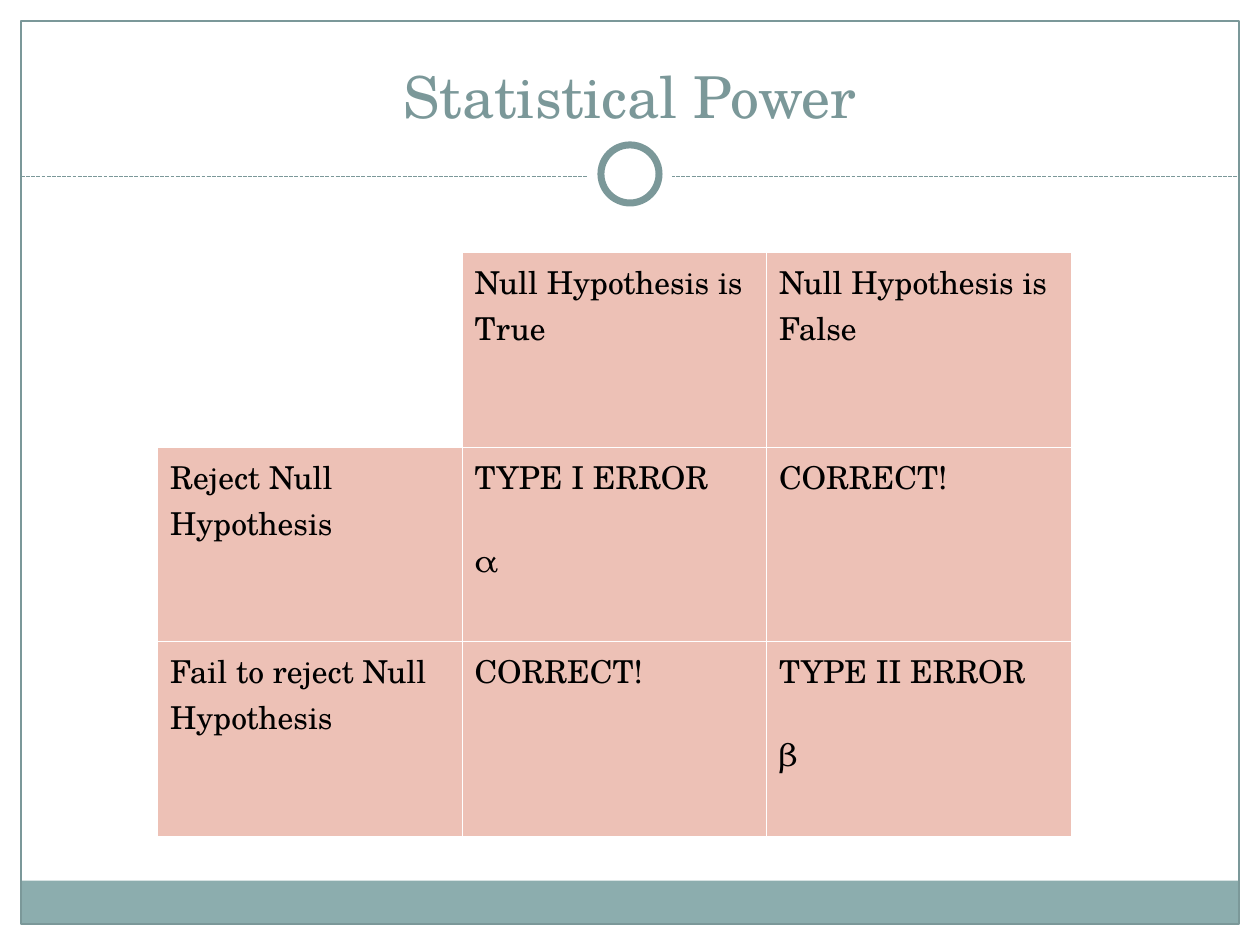
from typing import NamedTuple, Optional

from lxml import etree
from pptx import Presentation
from pptx.dml.color import RGBColor
from pptx.enum.dml import MSO_LINE
from pptx.enum.shapes import MSO_CONNECTOR, MSO_SHAPE
from pptx.enum.text import MSO_ANCHOR, MSO_AUTO_SIZE, PP_ALIGN
from pptx.oxml.ns import qn
from pptx.util import Pt

RECTANGLE, OVAL = MSO_SHAPE.RECTANGLE, MSO_SHAPE.OVAL
STRAIGHT, DASH = MSO_CONNECTOR.STRAIGHT, MSO_LINE.SQUARE_DOT
BOTTOM, CENTER, NO_AUTOFIT = MSO_ANCHOR.BOTTOM, PP_ALIGN.CENTER, MSO_AUTO_SIZE.NONE

FONT = "TeX Gyre Schola"
WHITE, BLACK, TEAL, PALE_TEAL, PINK = "FFFFFF", "000000", "7B9899", "8CADAE", "EDC1B6"

SLIDE_WIDTH, SLIDE_HEIGHT, MARGIN = 720, 540, 12
FRAME_WIDTH = SLIDE_WIDTH - 2 * MARGIN
RULE_Y = 100.8
RING_CENTER_Y = 99.4
COLUMN_WIDTH = 174
ROW_HEIGHTS = (111.6, 110.9, 111.6)
BORDER_WIDTH = 0.45
SYMBOL_GAP = 21

OUTCOMES = (
    ("", "Null Hypothesis is True", "Null Hypothesis is False"),
    ("Reject Null Hypothesis", "TYPE I ERROR\nα", "CORRECT!"),
    ("Fail to reject Null Hypothesis", "CORRECT!", "TYPE II ERROR\nβ"),
)


class Decoration(NamedTuple):
    kind: MSO_SHAPE
    left: float
    top: float
    width: float
    height: float
    fill: Optional[str] = None
    line_width: float = 0


def ring_part(diameter: float, line_width: float = 0) -> Decoration:
    """A white disc centred on the slide at the height of the ring."""
    return Decoration(OVAL, (SLIDE_WIDTH - diameter) / 2, RING_CENTER_Y - diameter / 2,
                      diameter, diameter, WHITE, line_width)


FRAME_PARTS = (
    Decoration(RECTANGLE, MARGIN, 503.2, FRAME_WIDTH, 24.5, PALE_TEAL),
    Decoration(RECTANGLE, MARGIN, MARGIN, FRAME_WIDTH, SLIDE_HEIGHT - 2 * MARGIN, None, 0.75),
)
RING_PARTS = (ring_part(48), ring_part(33.2, 4))


def color(value: str) -> RGBColor:
    return RGBColor.from_string(value)


def style_font(font, size: float, value: str) -> None:
    font.name, font.size, font.bold = FONT, Pt(size), False
    font.color.rgb = color(value)


def draw_decoration(slide, part: Decoration) -> None:
    shape = slide.shapes.add_shape(part.kind, Pt(part.left), Pt(part.top),
                                   Pt(part.width), Pt(part.height))
    shape.shadow.inherit = False
    if part.fill:
        shape.fill.solid()
        shape.fill.fore_color.rgb = color(part.fill)
    else:
        shape.fill.background()
    if part.line_width:
        shape.line.color.rgb = color(TEAL)
        shape.line.width = Pt(part.line_width)
    else:
        shape.line.fill.background()


def draw_rule(slide) -> None:
    rule = slide.shapes.add_connector(STRAIGHT, Pt(MARGIN), Pt(RULE_Y),
                                      Pt(SLIDE_WIDTH - MARGIN), Pt(RULE_Y))
    rule.line.color.rgb = color(TEAL)
    rule.line.width = Pt(0.75)
    rule.line.dash_style = DASH
    etree.SubElement(rule._element.spPr, qn("a:effectLst"))


def write_title(slide, wording: str) -> None:
    title = slide.shapes.title
    title.left, title.top, title.width, title.height = Pt(24), Pt(18), Pt(672), Pt(60)
    frame = title.text_frame
    frame.text = wording
    frame.auto_size = NO_AUTOFIT
    frame.vertical_anchor = BOTTOM
    paragraph = frame.paragraphs[0]
    paragraph.alignment = CENTER
    style_font(paragraph.font, 33, TEAL)


def add_borders(cell) -> None:
    properties = cell._tc.get_or_add_tcPr()
    for index, side in enumerate(("a:lnL", "a:lnR", "a:lnT", "a:lnB")):
        border = etree.Element(qn(side), w=str(int(Pt(BORDER_WIDTH))))
        fill = etree.SubElement(border, qn("a:solidFill"))
        etree.SubElement(fill, qn("a:srgbClr"), val=WHITE)
        properties.insert(index, border)


def draw_outcome_table(slide) -> None:
    columns = len(OUTCOMES[0])
    table = slide.shapes.add_table(len(OUTCOMES), columns, Pt(90), Pt(144),
                                   Pt(COLUMN_WIDTH * columns), Pt(sum(ROW_HEIGHTS))).table
    table.first_row = table.horz_banding = False
    for column in table.columns:
        column.width = Pt(COLUMN_WIDTH)
    for row, height, wordings in zip(table.rows, ROW_HEIGHTS, OUTCOMES):
        row.height = Pt(height)
        for cell, wording in zip(row.cells, wordings):
            cell.text = wording
            cell.fill.solid()
            cell.fill.fore_color.rgb = color(PINK if wording else WHITE)
            add_borders(cell)
            for index, paragraph in enumerate(cell.text_frame.paragraphs):
                if index:
                    paragraph.space_before = Pt(SYMBOL_GAP)
                style_font(paragraph.font, 18, BLACK)


def main() -> None:
    presentation = Presentation()
    presentation.slide_width, presentation.slide_height = Pt(SLIDE_WIDTH), Pt(SLIDE_HEIGHT)
    slide = presentation.slides.add_slide(presentation.slide_layouts.get_by_name("Title Only"))
    write_title(slide, "Statistical Power")
    for part in FRAME_PARTS:
        draw_decoration(slide, part)
    draw_rule(slide)
    for part in RING_PARTS:
        draw_decoration(slide, part)
    draw_outcome_table(slide)
    presentation.save("out.pptx")


if __name__ == "__main__":
    main()
